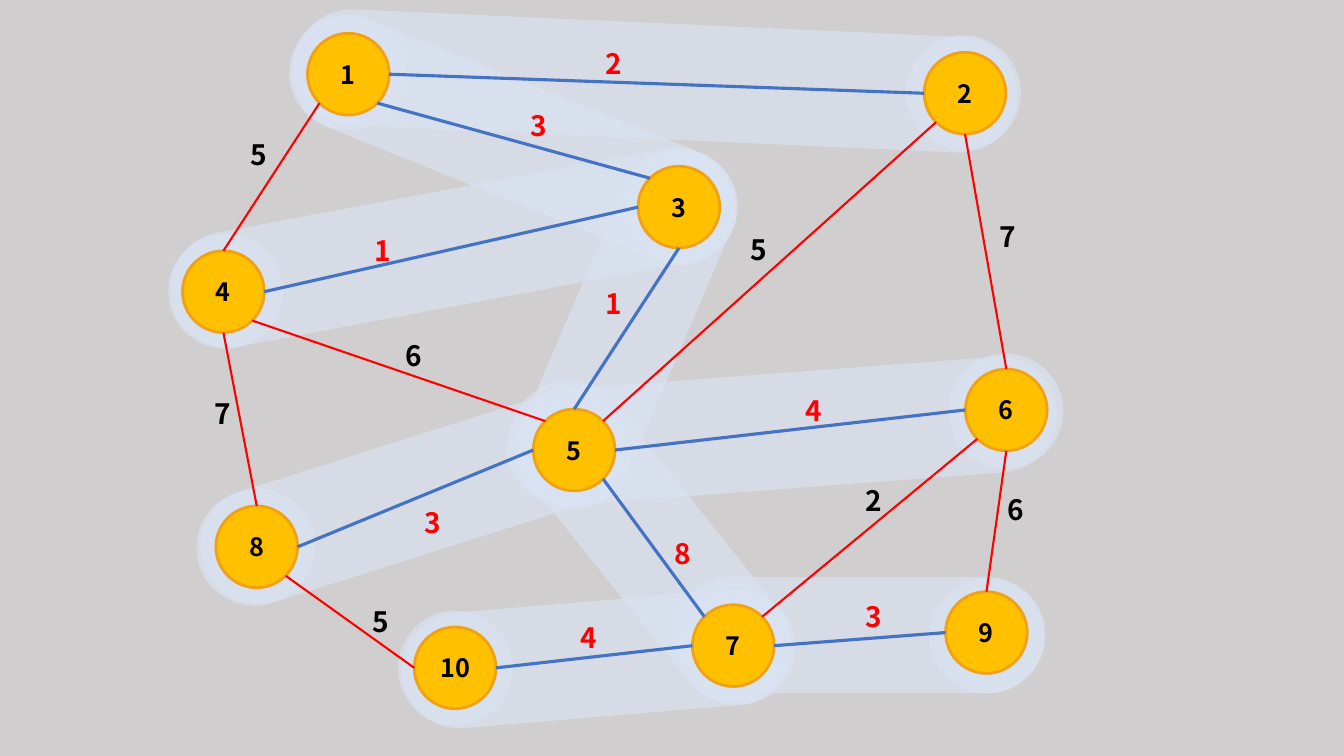
from math import cos, sin, radians
from pptx import Presentation
from pptx.util import Cm, Pt
from pptx.dml.color import RGBColor
from pptx.enum.shapes import MSO_SHAPE as SHAPE, MSO_CONNECTOR as LINE
from pptx.enum.text import PP_ALIGN as ALIGN, MSO_ANCHOR as ANCHOR, MSO_AUTO_SIZE as FIT
from pptx.oxml.ns import qn
from lxml.etree import SubElement

COLORS = {
    "background": "D0CECE", "halo": "DAE3F3", "node": "FFC000", "rim": "F1A116",
    "tree": "4472C4", "red": "FF0000", "black": "000000",
}
FONT = "Noto Sans CJK KR"
NODE_SIZE, HALO_SIZE, BAND_WIDTH = 2.06, 2.9, 2.92

nodes = {
    1: (8.78, 1.87), 2: (24.32, 2.35), 3: (17.11, 5.22), 4: (5.63, 7.35),
    5: (14.47, 11.34), 6: (25.36, 10.33), 7: (18.48, 16.27), 8: (6.47, 13.78),
    9: (24.86, 15.94), 10: (11.47, 16.83),
}
halos = {
    1: (8.79, 1.83), 2: (24.28, 2.34), 3: (17.12, 5.23), 4: (5.69, 7.34),
    5: (14.45, 11.38), 6: (25.35, 10.36), 7: (18.54, 16.31), 8: (6.5, 13.77),
    9: (24.87, 16.03), 10: (11.48, 16.84),
}
bands = [
    (15.08, 16.6, 9.93, 265.2),
    (21.65, 16, 9.4, 270),
    (16.4, 13.64, 9.55, 141.4),
    (19.7, 10.86, 13.89, 265.7),
    (10.2, 12.6, 10.87, 252.4),
    (16.52, 2.04, 18.26, 272.6),
    (12.94, 3.52, 11.96, 291.9),
    (15.79, 8.26, 9.55, 203.1),
    (11.39, 6.24, 14.4, 259.4),
]
angles = {"E": 0, "SE": 45, "S": 90, "SW": 135, "W": 180, "NW": 225, "N": 270, "NE": 315}
tree_edges = [
    (3, "NW", 1, "SE", "3", 13.13, 2.62),
    (2, "W", 1, "E", "2", 15.01, 1.04),
    (3, "S", 5, "N", "1", 15.01, 7.09),
    (3, "W", 4, "E", "1", 9.19, 5.77),
    (5, "W", 8, "E", "3", 10.44, 12.62),
    (5, "SE", 7, "NW", "8", 16.76, 13.39),
    (6, "W", 5, "E", "4", 20.04, 9.78),
    (10, "E", 7, "W", "4", 14.38, 15.52),
    (9, "W", 7, "E", "3", 21.56, 14.99),
]
other_edges = [
    (4, "N", 1, "SW", "5", 6.07, 3.35),
    (2, "S", 6, "N", "7", 24.94, 5.41),
    (2, "SW", 5, "NE", "5", 18.67, 5.74),
    (4, "S", 8, "N", "7", 5.16, 9.86),
    (5, "NW", 4, "SE", "6", 9.96, 8.41),
    (9, "N", 6, "S", "6", 25.15, 12.29),
    (6, "SW", 7, "NE", "2", 21.56, 12.07),
    (10, "W", 8, "SE", "5", 9.14, 15.11),
]

deck = Presentation()
deck.slide_width, deck.slide_height = Cm(33.87), Cm(19.05)
page = deck.slides.add_slide(deck.slide_layouts[6])
page.background.fill.solid()
page.background.fill.fore_color.rgb = RGBColor.from_string(COLORS["background"])


def add_filled(kind, center, width, height, color):
    x, y = center
    shape = page.shapes.add_shape(
        kind, Cm(x - width / 2), Cm(y - height / 2), Cm(width), Cm(height))
    shape.shadow.inherit = False
    shape.fill.solid()
    shape.fill.fore_color.rgb = RGBColor.from_string(COLORS[color])
    shape.line.fill.background()
    return shape


def write(shape, text, size, color):
    para = shape.text_frame.paragraphs[0]
    span = para.add_run()
    span.text = text
    span.font.name, span.font.size, span.font.bold = FONT, Pt(size), True
    span.font.color.rgb = RGBColor.from_string(COLORS[color])
    return para


glows = []
for x, y, length, rotation in bands:
    band = add_filled(SHAPE.ROUNDED_RECTANGLE, (x, y), BAND_WIDTH, length, "halo")
    band.adjustments[0] = 0.5
    band.rotation = rotation
    glows.append(band)
for center in halos.values():
    glows.append(add_filled(SHAPE.OVAL, center, HALO_SIZE, HALO_SIZE, "halo"))
for glow in glows:
    tint = glow.fill._xPr.find(qn("a:solidFill"))[0]
    SubElement(tint, qn("a:alpha")).set("val", "63000")

for number, center in nodes.items():
    node = add_filled(SHAPE.OVAL, center, NODE_SIZE, NODE_SIZE, "node")
    node.line.color.rgb = RGBColor.from_string(COLORS["rim"])
    node.line.width = Pt(2)
    node.text_frame.vertical_anchor = ANCHOR.MIDDLE
    write(node, str(number), 18, "black").alignment = ALIGN.CENTER

for edges, line_color, width, weight_color in [
    (tree_edges, "tree", 2.25, "red"),
    (other_edges, "red", 1.5, "black"),
]:
    for start, start_side, end, end_side, weight, left, top in edges:
        points = []
        for number, side in [(start, start_side), (end, end_side)]:
            x, y = nodes[number]
            angle = radians(angles[side])
            points += [Cm(x + NODE_SIZE / 2 * cos(angle)), Cm(y + NODE_SIZE / 2 * sin(angle))]
        edge = page.shapes.add_connector(LINE.STRAIGHT, *points)
        edge.line.color.rgb = RGBColor.from_string(COLORS[line_color])
        edge.line.width = Pt(width)
        SubElement(edge._element.spPr, qn("a:effectLst"))
        box = page.shapes.add_textbox(Cm(left), Cm(top), Cm(0.91), Cm(1.11))
        box.text_frame.word_wrap = False
        box.text_frame.auto_size = FIT.SHAPE_TO_FIT_TEXT
        write(box, weight, 20, weight_color)

deck.save("out.pptx")
